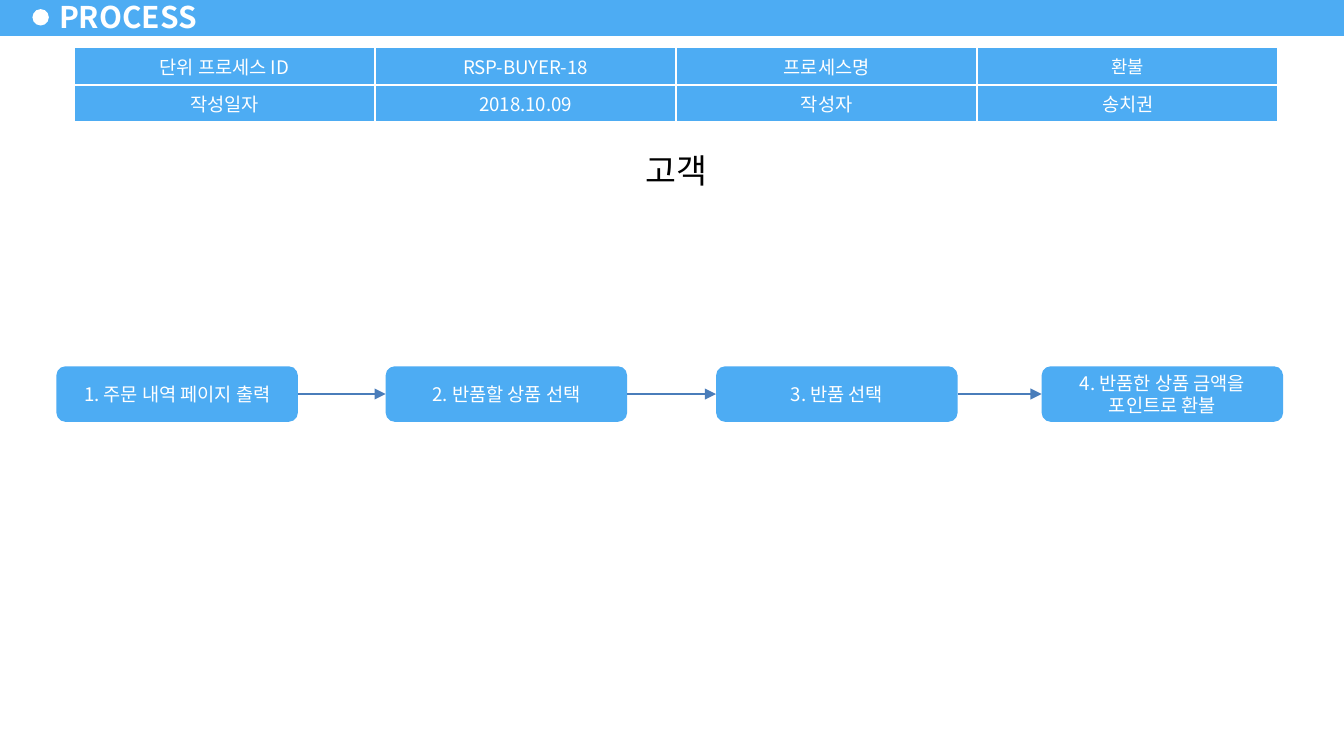
from lxml.etree import SubElement
from pptx import Presentation
from pptx.dml.color import RGBColor
from pptx.enum.shapes import MSO_CONNECTOR, MSO_SHAPE
from pptx.enum.text import MSO_ANCHOR, MSO_AUTO_SIZE, PP_ALIGN
from pptx.oxml.ns import qn
from pptx.util import Pt

FONT = "Noto Sans CJK KR"
COLORS = {"blue": "4DACF3", "arrow": "4A7DBA", "white": "FFFFFF", "black": "000000"}
INFO = [
    ["단위 프로세스 ID", "RSP-BUYER-18", "프로세스명", "환불"],
    ["작성일자", "2018.10.09", "작성자", "송치권"],
]
STEPS = [
    (30.2, "1. 주문 내역 페이지 출력"),
    (206.6, "2. 반품할 상품 선택"),
    (383.6, "3. 반품 선택"),
    (558, "4. 반품한 상품 금액을\n포인트로 환불"),
]


def rgb(name):
    return RGBColor.from_string(COLORS[name])


def format_text(tf, size, color="white", align=PP_ALIGN.CENTER, bold=False):
    for p in tf.paragraphs:
        p.alignment = align
        for r in p.runs:
            r.font.size = Pt(size)
            r.font.bold = bold
            r.font.name = FONT
            r.font.color.rgb = rgb(color)
            SubElement(r.font._element, qn("a:ea"), typeface=FONT)


def add_box(s, kind, left, top, width, height, fill="blue"):
    sp = s.shapes.add_shape(kind, Pt(left), Pt(top), Pt(width), Pt(height))
    sp.shadow.inherit = False
    sp.fill.solid()
    sp.fill.fore_color.rgb = rgb(fill)
    sp.line.fill.background()
    return sp


def add_header(s):
    add_box(s, MSO_SHAPE.RECTANGLE, 0, -1.2, 720, 20.4)
    add_box(s, MSO_SHAPE.OVAL, 17.4, 4.9, 8.8, 8.8, "white")
    title = s.shapes.title
    title._element.getparent().append(title._element)
    title.left, title.top, title.width, title.height = Pt(25.2), Pt(-2.7), Pt(87.8), Pt(23)
    tf = title.text_frame
    tf.text = "PROCESS"
    tf.auto_size = MSO_AUTO_SIZE.NONE
    tf.word_wrap = False
    tf.vertical_anchor = MSO_ANCHOR.MIDDLE
    tf.margin_left = tf.margin_right = Pt(6.5)
    tf.margin_top = tf.margin_bottom = Pt(3)
    format_text(tf, 16, align=PP_ALIGN.LEFT, bold=True)


def add_actor(s):
    sp = add_box(s, MSO_SHAPE.RECTANGLE, 233.8, 77, 257, 29.5, "white")
    tf = sp.text_frame
    tf.text = "고객"
    tf.vertical_anchor = MSO_ANCHOR.TOP
    format_text(tf, 18, "black")


def add_info_table(s):
    frame = s.shapes.add_table(2, 4, Pt(39.6), Pt(25.5), Pt(645.2), Pt(40))
    table = frame.table
    table.first_row = table.horz_banding = False
    for row, texts in zip(table.rows, INFO):
        for cell, text in zip(row.cells, texts):
            cell.text = text
            cell.fill.solid()
            cell.fill.fore_color.rgb = rgb("blue")
            cell.vertical_anchor = MSO_ANCHOR.MIDDLE
            cell.margin_top = cell.margin_bottom = Pt(2.5)
            format_text(cell.text_frame, 9.5 if text == "환불" else 10)


def add_step(s, left, text):
    sp = add_box(s, MSO_SHAPE.ROUNDED_RECTANGLE, left, 196.2, 129.4, 29.8)
    tf = sp.text_frame
    tf.text = text
    tf.word_wrap = True
    tf.vertical_anchor = MSO_ANCHOR.MIDDLE
    format_text(tf, 10)
    return sp


def add_arrow(s, start, end):
    line = s.shapes.add_connector(MSO_CONNECTOR.STRAIGHT, 0, 0, 0, 0)
    line.begin_connect(start, 3)
    line.end_connect(end, 1)
    line.line.color.rgb = rgb("arrow")
    line.line.width = Pt(0.75)
    SubElement(line.line._get_or_add_ln(), qn("a:tailEnd"), type="triangle")
    SubElement(line._element.spPr, qn("a:effectLst"))


def main():
    prs = Presentation()
    prs.slide_width, prs.slide_height = Pt(720), Pt(405)
    s = prs.slides.add_slide(prs.slide_layouts[5])
    add_header(s)
    add_actor(s)
    steps = [add_step(s, left, text) for left, text in STEPS]
    add_info_table(s)
    for start, end in zip(steps, steps[1:]):
        add_arrow(s, start, end)
    prs.save("out.pptx")


if __name__ == "__main__":
    main()
